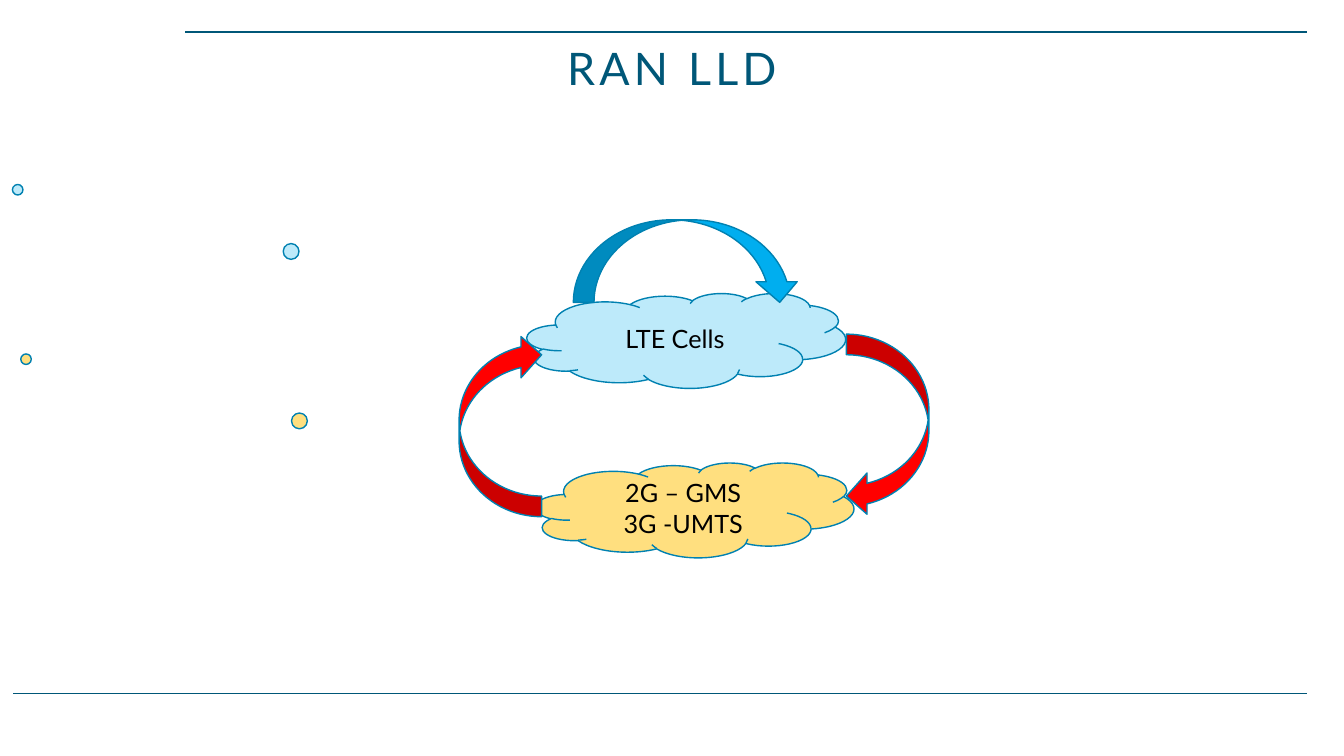
from dataclasses import dataclass

from lxml.etree import SubElement
from pptx import Presentation
from pptx.dml.color import RGBColor
from pptx.enum.shapes import MSO_CONNECTOR, MSO_SHAPE
from pptx.enum.text import MSO_ANCHOR, PP_ALIGN
from pptx.oxml.ns import qn
from pptx.util import Cm, Pt

FONT = "Lato"
TEAL = "005778"
OUTLINE = "0081B1"
BLUE = "00AEEF"
AMBER = "FFC000"
RED = "FF0000"
BLACK = "000000"

SLIDE_WIDTH, SLIDE_HEIGHT = 33.87, 19.05
CLOUD_WIDTH, CLOUD_HEIGHT = 8.03, 2.39
CLOUD_TAIL = (-2.94, -2.23)
ARROW_HEIGHT = 2.08


@dataclass
class Rule:
    left: float
    top: float
    right: float = 32.94


@dataclass
class Cloud:
    left: float
    top: float
    color: str
    opacity: int
    lines: tuple[str, ...]


@dataclass
class Arrow:
    left: float
    top: float
    width: float
    color: str
    rotation: int = 0


RULES = [Rule(4.67, 0.81), Rule(0.33, 17.48)]
LTE_CLOUD = Cloud(13.28, 7.39, BLUE, 26, ("LTE Cells",))
LTE_ARROW = Arrow(14.45, 5.54, 5.72, BLUE)
LEGACY_CLOUD = Cloud(13.49, 11.66, AMBER, 50, ("2G – GMS", "3G -UMTS"))
HANDOVER_ARROWS = [
    Arrow(20.07, 9.68, 4.6, RED, 90),
    Arrow(10.31, 9.68, 4.6, RED, 270),
]


def rgb(color: str) -> RGBColor:
    return RGBColor.from_string(color)


def add_run(paragraph, text: str, size: int, color: str):
    paragraph.alignment = PP_ALIGN.CENTER
    run = paragraph.add_run()
    run.text = text
    run.font.name = FONT
    run.font.size = Pt(size)
    run.font.color.rgb = rgb(color)
    return run


def add_preset(slide, preset, left: float, top: float, width: float, height: float, color: str):
    shape = slide.shapes.add_shape(preset, Cm(left), Cm(top), Cm(width), Cm(height))
    shape.shadow.inherit = False
    shape.fill.solid()
    shape.fill.fore_color.rgb = rgb(color)
    shape.line.color.rgb = rgb(OUTLINE)
    shape.line.width = Pt(1)
    return shape


def add_rule(slide, rule: Rule) -> None:
    connector = slide.shapes.add_connector(
        MSO_CONNECTOR.STRAIGHT, Cm(rule.left), Cm(rule.top), Cm(rule.right), Cm(rule.top))
    connector.line.color.rgb = rgb(TEAL)
    connector.line.width = Pt(1)
    SubElement(connector._element.spPr, qn("a:effectLst"))


def add_cloud(slide, cloud: Cloud) -> None:
    shape = add_preset(slide, MSO_SHAPE.CLOUD_CALLOUT, cloud.left, cloud.top,
                       CLOUD_WIDTH, CLOUD_HEIGHT, cloud.color)
    for index, position in enumerate(CLOUD_TAIL):
        shape.adjustments[index] = position
    fill_color = shape._element.spPr.find(qn("a:solidFill")).find(qn("a:srgbClr"))
    SubElement(fill_color, qn("a:alpha"), val=str(cloud.opacity * 1000))
    frame = shape.text_frame
    frame.vertical_anchor = MSO_ANCHOR.MIDDLE
    for index, line in enumerate(cloud.lines):
        paragraph = frame.add_paragraph() if index else frame.paragraphs[0]
        add_run(paragraph, line, 18, BLACK)


def add_arrow(slide, arrow: Arrow) -> None:
    shape = add_preset(slide, MSO_SHAPE.CURVED_DOWN_ARROW, arrow.left, arrow.top,
                       arrow.width, ARROW_HEIGHT, arrow.color)
    shape.rotation = arrow.rotation


def set_title(slide, text: str) -> None:
    title = slide.shapes.title
    title.left, title.top = Cm(0), Cm(0.97)
    title.width, title.height = Cm(SLIDE_WIDTH), Cm(1.52)
    title.text_frame.vertical_anchor = MSO_ANCHOR.BOTTOM
    paragraph = title.text_frame.paragraphs[0]
    paragraph.line_spacing = 0.8
    run = add_run(paragraph, text, 32, TEAL)
    run.font._element.set("spc", "300")


def main() -> None:
    presentation = Presentation()
    presentation.slide_width = Cm(SLIDE_WIDTH)
    presentation.slide_height = Cm(SLIDE_HEIGHT)
    slide = presentation.slides.add_slide(presentation.slide_layouts[5])

    # Frame and title
    for rule in RULES:
        add_rule(slide, rule)
    set_title(slide, "RAN LLD")

    # Networks and the handovers between them
    add_cloud(slide, LTE_CLOUD)
    add_arrow(slide, LTE_ARROW)
    add_cloud(slide, LEGACY_CLOUD)
    for arrow in HANDOVER_ARROWS:
        add_arrow(slide, arrow)

    presentation.save("out.pptx")


if __name__ == "__main__":
    main()
